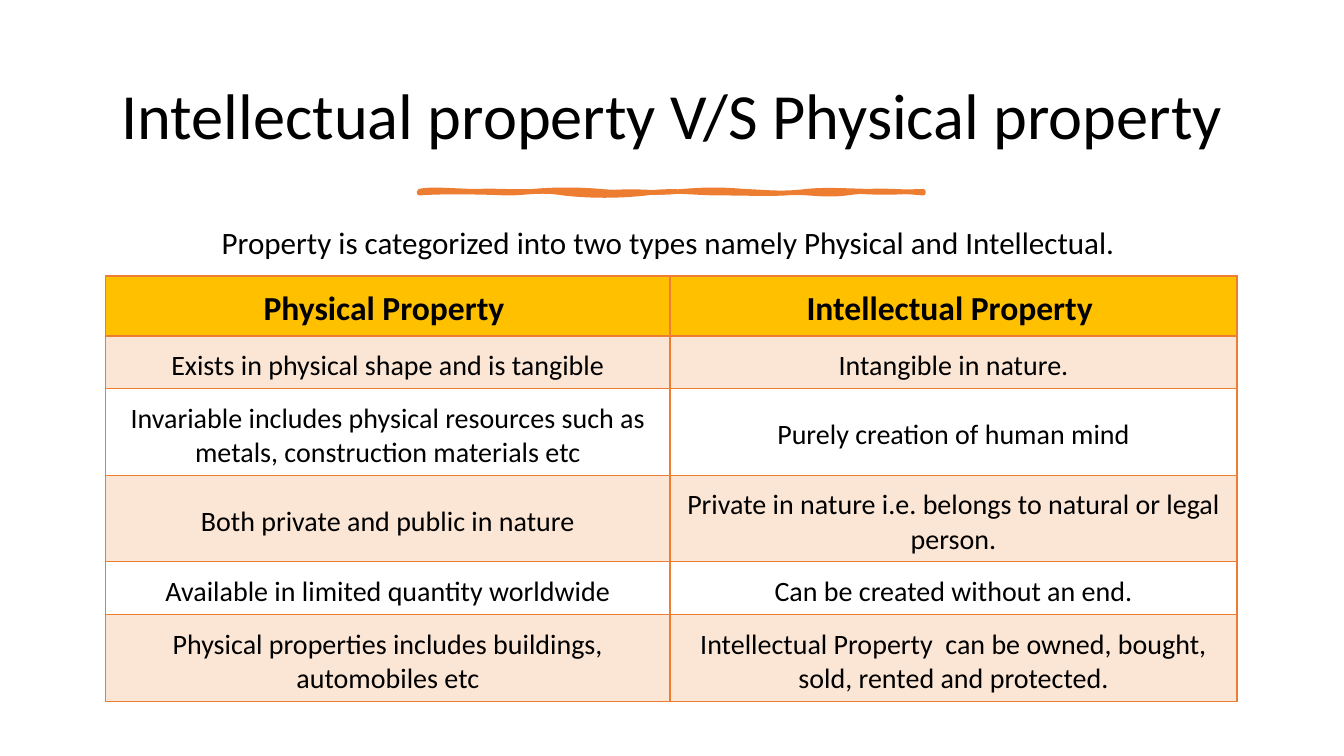
import lxml.etree
import pptx
import pptx.dml.color
import pptx.enum.text
import pptx.oxml.ns
import pptx.util

Pt = pptx.util.Pt

TITLE = "Intellectual property V/S Physical property"
INTRO = "Property is categorized into two types namely Physical and Intellectual. "
ROWS = [
    ("Physical Property ", "Intellectual Property "),
    ("Exists in physical shape and is tangible", "Intangible in nature."),
    ("Invariable includes physical resources such as metals, construction materials etc",
     "Purely creation of human mind"),
    ("Both private and public in nature",
     "Private in nature i.e. belongs to natural or legal person."),
    ("Available in limited quantity worldwide", "Can be created without an end."),
    ("Physical properties includes buildings, automobiles etc",
     "Intellectual Property  can be owned, bought, sold, rented and protected."),
]
ROW_HEIGHTS = (40.3, 34.6, 52.6, 47.5, 34.6, 52.6)
COLUMN_WIDTHS = (403.2, 405)
TABLE_HEIGHT = 302.4
COLORS = {"text": "000000", "accent": "ED7D31", "header": "FFC000"}
BAND_ALPHA = 20
FONT = "Calibri"
STROKE_LEFT, STROKE_TOP = 299.5, 136.6
STROKE_WIDTH, STROKE_HEIGHT = 360, 1.4
OUTLINE_CURVES = [
    ((8.6, -2.2), (27.4, 0), (41, 0)),
    ((54.7, -0.7), (67, 0.7), (81.4, 0)),
    ((95.8, -1.4), (113.8, -1.4), (129.6, 0)),
    ((144.7, 1.4), (170.6, 1.4), (187.9, 0)),
    ((205.9, -1.4), (214.6, -1.4), (232.6, 0)),
    ((249.8, 0.7), (257.8, 2.2), (276.5, 0)),
    ((295.2, -2.2), (324.7, 1.4), (360, 0)),
    ((360.7, 0.7), (360, 0.7), (360, 1.4)),
    ((344.9, 0), (323.3, -1.4), (305.3, 1.4)),
    ((287.3, 3.6), (277.2, 0), (261.4, 1.4)),
    ((244.8, 2.2), (238.3, 1.4), (216.7, 1.4)),
    ((195.1, 1.4), (181.4, -1.4), (162, 1.4)),
    ((142.6, 3.6), (121.7, 3.6), (103, 1.4)),
    ((85, -1.4), (77, 1.4), (62.6, 1.4)),
    ((48.2, 0.7), (15.8, 0), (0, 1.4)),
    ((0, 0.7), (0, 0), (0, 0)),
]
FILL_CURVES = [
    ((11.5, -0.7), (25.9, -1.4), (44.6, 0)),
    ((62.6, 0.7), (66.2, 1.4), (85, 0)),
    ((103.7, -1.4), (113.8, 1.4), (129.6, 0)),
    ((145.4, -2.2), (160.6, -1.4), (180.7, 0)),
    ((200.9, 0.7), (221.8, -2.2), (236.2, 0)),
    ((249.8, 1.4), (277.9, -1.4), (294.5, 0)),
    ((311, 0.7), (328.3, 2.2), (360, 0)),
    ((360, 0), (360, 0.7), (360, 1.4)),
    ((333.4, 2.9), (331.2, 2.9), (305.3, 1.4)),
    ((279.4, -0.7), (273.6, 0.7), (247, 1.4)),
    ((219.6, 1.4), (216, -1.4), (187.9, 1.4)),
    ((160.6, 4.3), (159.1, 0), (147.6, 1.4)),
    ((135.4, 2.2), (112.3, 2.2), (92.2, 1.4)),
    ((72.7, 0), (63.4, 0.7), (44.6, 1.4)),
    ((25.9, 1.4), (18, -0.7), (0, 1.4)),
    ((0, 0.7), (0, 0), (0, 0)),
]


def color(name):
    return pptx.dml.color.RGBColor.from_string(COLORS[name])


def add_element(parent, name, **attributes):
    return lxml.etree.SubElement(parent, pptx.oxml.ns.qn("a:" + name), **attributes)


def style(paragraph, size, bold=False):
    paragraph.alignment = pptx.enum.text.PP_ALIGN.CENTER
    paragraph.font.name = FONT
    paragraph.font.size = Pt(size)
    paragraph.font.bold = bold
    paragraph.font.color.rgb = color("text")


def add_text(slide, text, top, height, size, spacing):
    frame = slide.shapes.add_textbox(Pt(50.4), Pt(top), Pt(859), Pt(height)).text_frame
    frame.word_wrap = True
    frame.vertical_anchor = pptx.enum.text.MSO_ANCHOR.MIDDLE
    frame.text = text
    style(frame.paragraphs[0], size)
    frame.paragraphs[0].line_spacing = spacing


def add_curves(outlines, curves, **paint):
    outline = add_element(outlines, "path", w=str(Pt(STROKE_WIDTH)),
                          h=str(Pt(STROKE_HEIGHT)), **paint)
    add_element(add_element(outline, "moveTo"), "pt", x="0", y="0")
    for curve in curves:
        bezier = add_element(outline, "cubicBezTo")
        for x, y in curve:
            add_element(bezier, "pt", x=str(Pt(x)), y=str(Pt(y)))
    add_element(outline, "close")


def add_brush_stroke(slide):
    left, top = Pt(STROKE_LEFT), Pt(STROKE_TOP)
    right, bottom = left + Pt(STROKE_WIDTH), top + Pt(STROKE_HEIGHT)
    builder = slide.shapes.build_freeform(left, top)
    builder.add_line_segments([(right, top), (right, bottom), (left, bottom)], close=True)
    shape = builder.convert_to_shape()
    outlines = shape._element.spPr.find(".//" + pptx.oxml.ns.qn("a:pathLst"))
    outlines.remove(outlines[0])
    add_curves(outlines, OUTLINE_CURVES, fill="none")
    add_curves(outlines, FILL_CURVES, stroke="0")
    shape.shadow.inherit = False
    shape.fill.solid()
    shape.fill.fore_color.rgb = color("accent")
    shape.line.color.rgb = color("accent")
    shape.line.width = Pt(3.25)
    add_element(shape.line.fill._xPr, "round")


def fill_cell(cell, row_index):
    if row_index == 0:
        cell.fill.solid()
        cell.fill.fore_color.rgb = color("header")
    elif row_index % 2:
        cell.fill.solid()
        cell.fill.fore_color.rgb = color("accent")
        tint = cell._tc.tcPr.find(".//" + pptx.oxml.ns.qn("a:srgbClr"))
        add_element(tint, "alpha", val=str(BAND_ALPHA * 1000))
    else:
        cell.fill.background()


def add_borders(cell, header):
    properties = cell._tc.get_or_add_tcPr()
    for index, side in enumerate(("lnL", "lnR", "lnT", "lnB")):
        width = 2 if header and side == "lnB" else 1
        border = add_element(properties, side, w=str(Pt(width)))
        add_element(add_element(border, "solidFill"), "srgbClr", val=COLORS["accent"])
        properties.insert(index, border)


def add_property_table(slide):
    graphic_frame = slide.shapes.add_table(
        len(ROWS), len(COLUMN_WIDTHS), Pt(75.4), Pt(197.2),
        Pt(sum(COLUMN_WIDTHS)), Pt(TABLE_HEIGHT))
    table = graphic_frame.table
    for column, width in zip(table.columns, COLUMN_WIDTHS):
        column.width = Pt(width)
    for row, height in zip(table.rows, ROW_HEIGHTS):
        row.height = Pt(height)
    graphic_frame.height = Pt(TABLE_HEIGHT)
    for row_index, texts in enumerate(ROWS):
        header = row_index == 0
        for column_index, text in enumerate(texts):
            cell = table.cell(row_index, column_index)
            cell.text = text
            cell.vertical_anchor = pptx.enum.text.MSO_ANCHOR.MIDDLE
            cell.margin_left = cell.margin_right = cell.margin_top = Pt(9.2)
            cell.margin_bottom = Pt(4.6)
            fill_cell(cell, row_index)
            add_borders(cell, header)
            style(cell.text_frame.paragraphs[0], 24 if header else 20, header)


def main():
    presentation = pptx.Presentation()
    presentation.slide_width = Pt(960)
    presentation.slide_height = Pt(540)
    slide = presentation.slides.add_slide(presentation.slide_layouts[6])
    add_text(slide, TITLE, 44, 81.4, 46, 0.9)
    add_text(slide, INTRO, 160.5, 30.2, 22.2, 0.8)
    add_brush_stroke(slide)
    add_property_table(slide)
    presentation.save("out.pptx")


if __name__ == "__main__":
    main()
